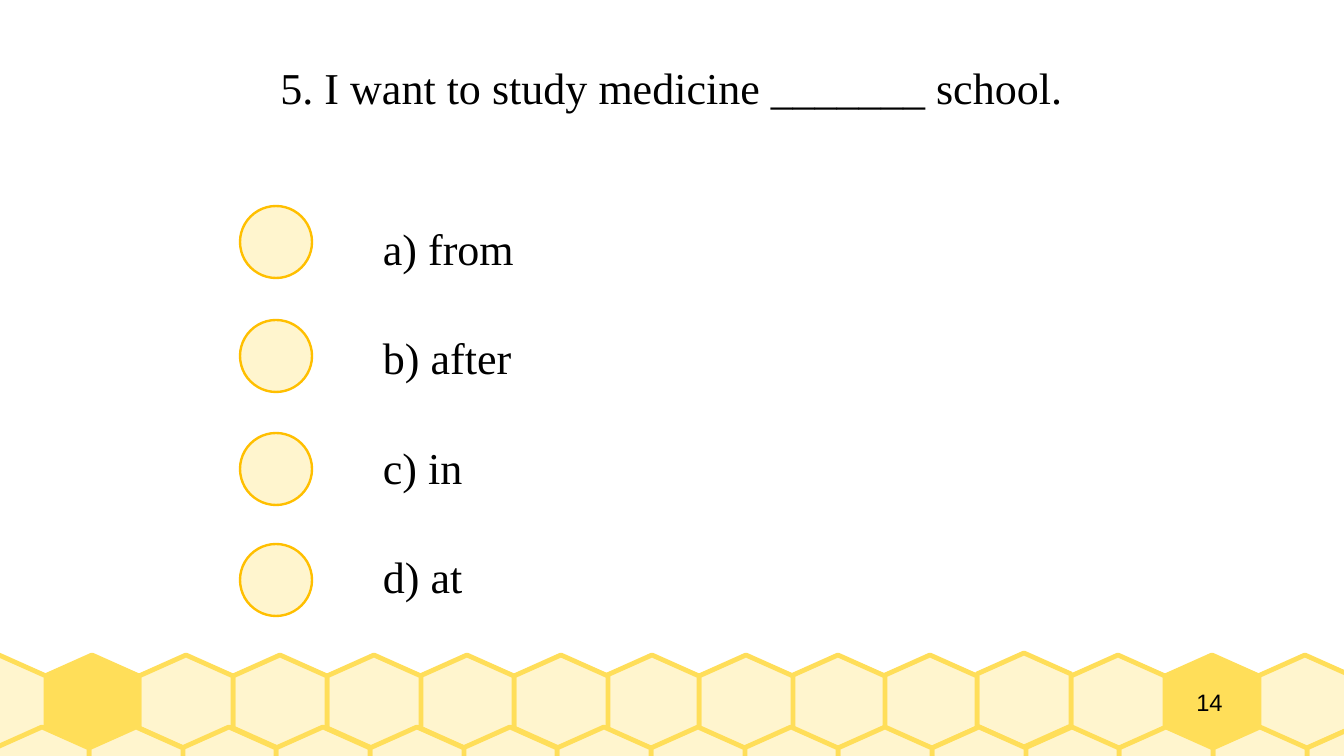
from pptx import Presentation
from pptx.dml.color import RGBColor
from pptx.enum import shapes, text
from pptx.util import Inches, Pt

# Content
QUESTION = "5. I want to study medicine _______ school."
ANSWERS = ["a) from", "b) after", "c) in", "d) at"]
SLIDE_NUMBER = "14"

# Colours
BLACK = RGBColor(0x00, 0x00, 0x00)
CREAM = RGBColor(0xFF, 0xF5, 0xCE)
HONEY = RGBColor(0xFF, 0xDE, 0x59)
AMBER = RGBColor(0xFF, 0xBF, 0x00)

# Layout in px
PX = Inches(1) / 122
SLIDE_SIZE = (1344, 756)
TITLE_BOX = (72, 22, 1200, 123)
ANSWER_BOX = (383, 216, 912, 384)
NUMBER_BOX = (1133, 655, 153, 94)
CIRCLE_LEFT, CIRCLE_SIZE = 240, 72
CIRCLE_TOPS = [206, 320, 433, 544]
HEXAGON = [(47, 0), (0, 21), (0, 73), (47, 94), (94, 73), (94, 21)]
UPPER_LEFTS = [-48, 45, 139, 233, 327, 420, 514, 605,
               699, 791, 883, 977, 1071, 1165, 1258]
UPPER_TOP, LOWER_TOP = 655, 727
LOWER_START, LOWER_STEP = -5, 93.68
FILLED_CELLS = {1, 13}
RAISED_CELL = 11


def emu(*lengths):
    return [round(length * PX) for length in lengths]


def style(shape, fill, line, width):
    shape.shadow.inherit = False
    shape.fill.solid()
    shape.fill.fore_color.rgb = fill
    shape.line.color.rgb = line
    shape.line.width = Pt(width)


def add_cell(slide, left, top, fill):
    points = [(left + x, top + y) for x, y in HEXAGON]
    builder = slide.shapes.build_freeform(*points[0], scale=PX)
    builder.add_line_segments(points[1:], close=True)
    style(builder.convert_to_shape(), fill, HONEY, 2.83)


def add_text(slide, box, lines, font, align, anchor, top_inset=0, gap=0):
    frame = slide.shapes.add_textbox(*emu(*box)).text_frame
    settings = {"word_wrap": True, "vertical_anchor": anchor,
                "margin_left": 0, "margin_right": 0, "margin_bottom": 0,
                "margin_top": emu(top_inset)[0]}
    for name, value in settings.items():
        setattr(frame, name, value)
    for index, line in enumerate(lines):
        paragraph = frame.add_paragraph() if index else frame.paragraphs[0]
        paragraph.alignment = align
        paragraph.space_after = Pt(gap)
        run = paragraph.add_run()
        run.text = line
        for name, value in font.items():
            setattr(run.font, name, value)
        run.font.color.rgb = BLACK


def main():
    presentation = Presentation()
    presentation.slide_width, presentation.slide_height = emu(*SLIDE_SIZE)
    slide = presentation.slides.add_slide(presentation.slide_layouts[6])

    # Honeycomb border, right to left
    for index, left in reversed(list(enumerate(UPPER_LEFTS))):
        top = UPPER_TOP - (2 if index == RAISED_CELL else 0)
        add_cell(slide, left, top, HONEY if index in FILLED_CELLS else CREAM)
        add_cell(slide, round(LOWER_START + index * LOWER_STEP), LOWER_TOP, CREAM)

    # Slide number, question and answers
    serif = {"name": "Times New Roman", "size": Pt(26)}
    sans = {"name": "Arial", "size": Pt(14)}
    align, anchor = text.PP_ALIGN, text.MSO_ANCHOR
    add_text(slide, NUMBER_BOX, [SLIDE_NUMBER], sans, align.CENTER, anchor.MIDDLE)
    add_text(slide, TITLE_BOX, [QUESTION], serif, align.CENTER, anchor.MIDDLE,
             top_inset=6)
    add_text(slide, ANSWER_BOX, ANSWERS, serif, align.LEFT, anchor.TOP,
             top_inset=5, gap=33.5)

    # Answer circles
    for top in CIRCLE_TOPS:
        circle = slide.shapes.add_shape(
            shapes.MSO_SHAPE.OVAL,
            *emu(CIRCLE_LEFT, top, CIRCLE_SIZE, CIRCLE_SIZE))
        style(circle, CREAM, AMBER, 1.42)

    presentation.save("out.pptx")


if __name__ == "__main__":
    main()
